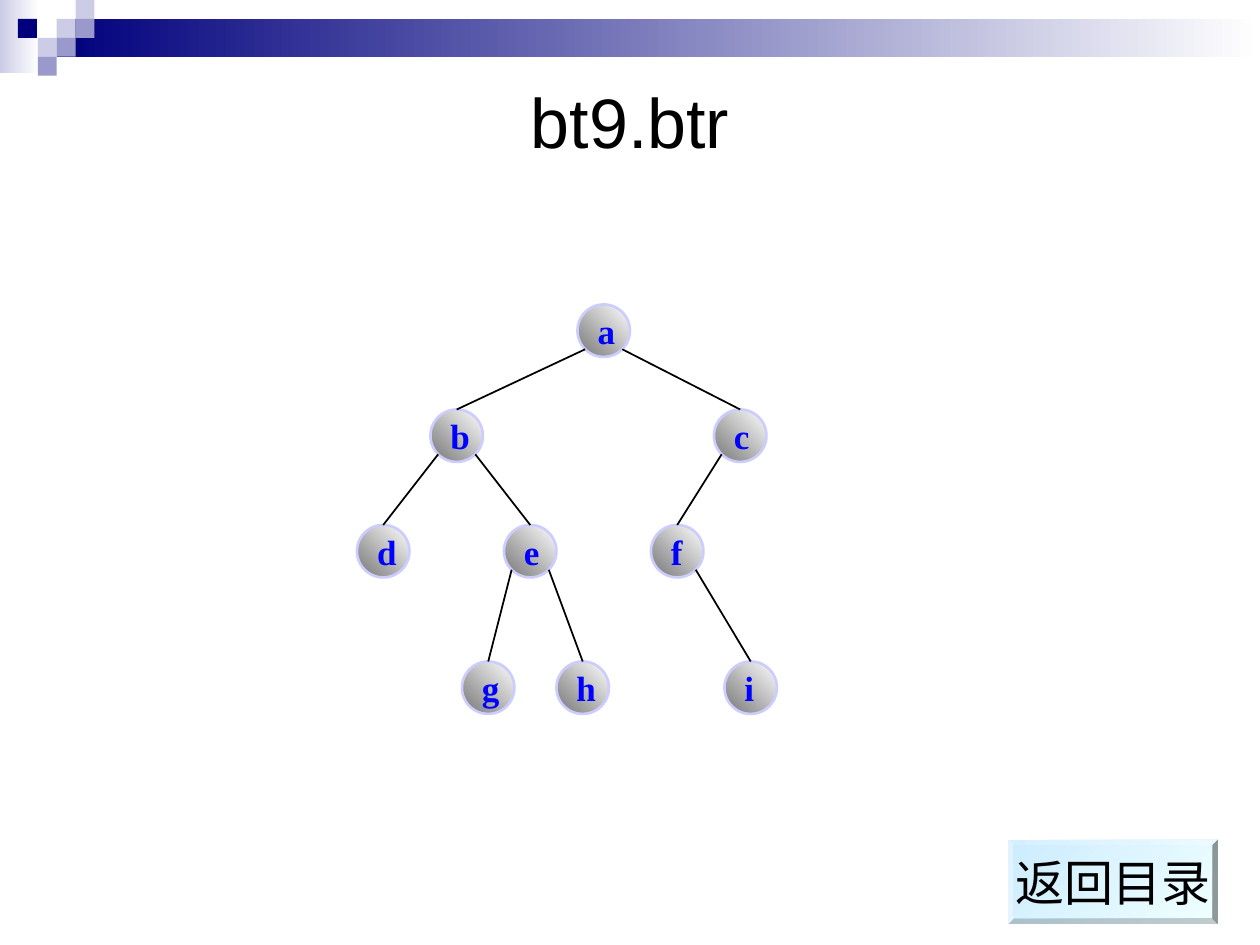
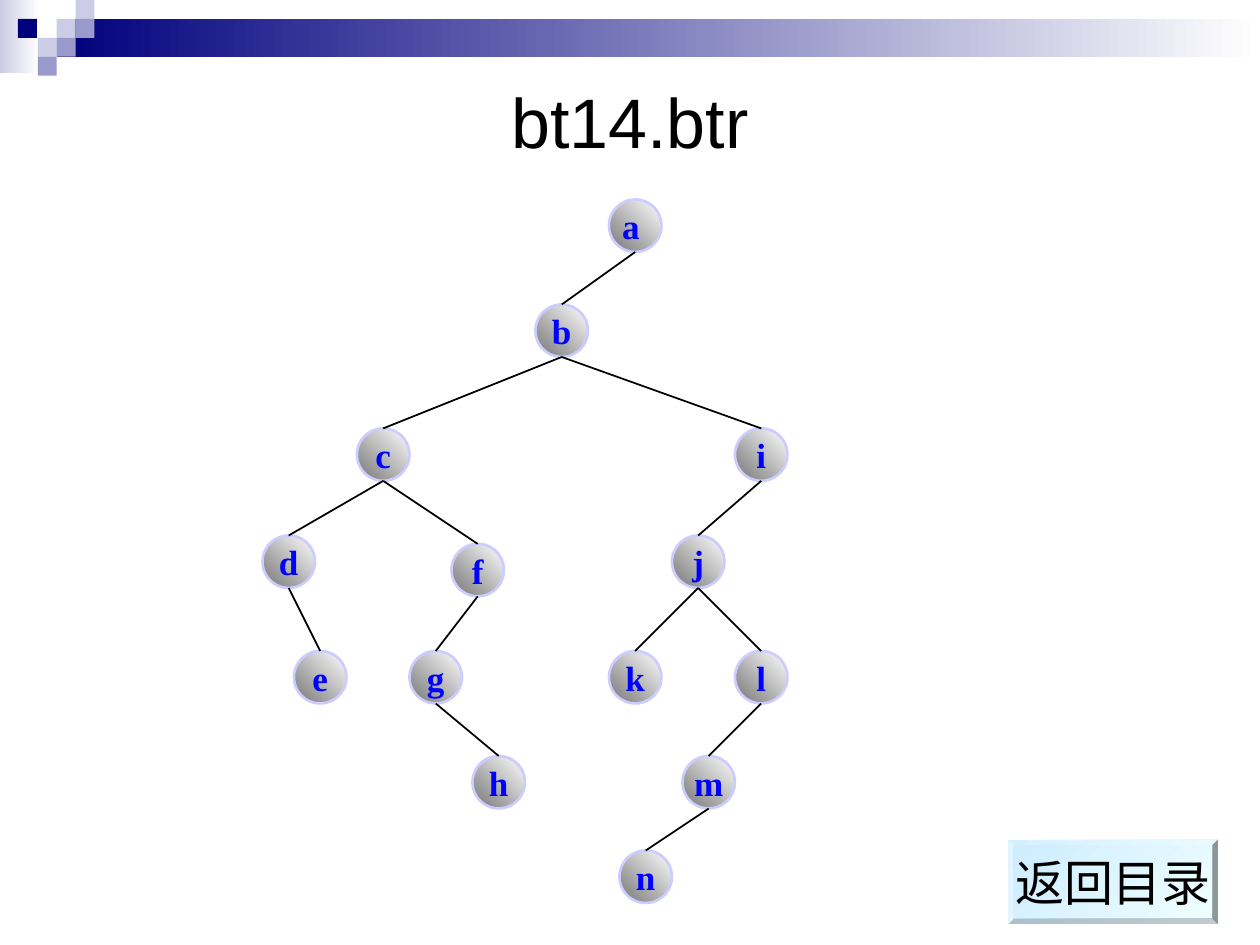
"""Build two slides that each show a labelled binary tree."""
from math import sqrt
from typing import NamedTuple

from lxml.etree import SubElement
from pptx import Presentation
from pptx.dml.color import RGBColor
from pptx.enum.shapes import MSO_CONNECTOR, MSO_SHAPE
from pptx.enum.text import MSO_ANCHOR, PP_ALIGN
from pptx.oxml.ns import qn
from pptx.util import Inches, Pt

WIDE, HIGH = Inches(10), Inches(7.5)
UNIT = WIDE // 120
TILE = Inches(0.15)
SIZE = 5
NAVY, LILAC, PALE = "00007D", "9999CC", "CCCCE6"
WHITE, BLACK, BLUE, RIM = "FFFFFF", "000000", "0000FF", "CCCCFF"


class Patch(NamedTuple):
    left: float
    top: float
    wide: float
    high: float
    start: str
    end: str = ""


class Node(NamedTuple):
    label: str
    col: float
    row: float
    parent: str = ""


class Tree(NamedTuple):
    title: str
    align: PP_ALIGN
    spread: float
    nodes: list[Node]


HEADER = [
    Patch(0, 0, 2.07, 3.87, PALE, WHITE),
    Patch(3, 1, 63.67, 2, NAVY, WHITE),
    Patch(3, 1, 1, 1, PALE),
    Patch(4, 0, 1, 1, PALE),
    Patch(4, 1, 1, 1, LILAC),
    Patch(2, 2, 1, 1, PALE),
    Patch(0.95, 1, 1, 1, NAVY),
    Patch(3, 2, 1, 1, LILAC),
    Patch(2, 3, 1, 1, LILAC),
]

TREES = [
    Tree("bt9.btr", PP_ALIGN.LEFT, sqrt(0.5), [
        Node("a ", 55, 29),
        Node("b", 41, 39, "a "),
        Node("c", 68, 39, "a "),
        Node("d", 34, 50, "b"),
        Node("e", 48, 50, "b"),
        Node("f", 62, 50, "c"),
        Node("g", 44, 63, "e"),
        Node("h", 53, 63, "e"),
        Node("i", 69, 63, "f"),
    ]),
    Tree("bt14.btr", PP_ALIGN.CENTER, 0, [
        Node("a ", 58, 19),
        Node("b", 51, 29, "a "),
        Node("c", 34, 40.8, "b"),
        Node("d", 25, 51, "c"),
        Node("e", 28, 62, "d"),
        Node("f", 43, 51.8, "c"),
        Node("g", 39, 62, "f"),
        Node("h", 45, 72, "g"),
        Node("i", 70, 40.8, "b"),
        Node("j", 64, 51, "i"),
        Node("k", 58, 62, "j"),
        Node("l", 70, 62, "j"),
        Node("m", 65, 72, "l"),
        Node("n", 59, 81, "m"),
    ]),
]


def tint(code: str) -> RGBColor:
    return RGBColor.from_string(code)


def scale(unit: int, *parts: float) -> list[int]:
    return [round(part * unit) for part in parts]


def write(shape, text: str, *, size: int, font: str = "Arial", color: str = BLACK,
          bold: bool = False, align: PP_ALIGN = PP_ALIGN.CENTER, wrap: bool = False) -> None:
    frame = shape.text_frame
    frame.word_wrap = wrap
    frame.vertical_anchor = MSO_ANCHOR.MIDDLE
    line = frame.paragraphs[0]
    line.alignment = align
    run = line.add_run()
    run.text = text
    run.font.size = Pt(size)
    run.font.name = font
    run.font.bold = bold
    run.font.color.rgb = tint(color)


def place(slide, kind: MSO_SHAPE, spot: list[int], start: str, end: str = "", angle: int = 0):
    shape = slide.shapes.add_shape(kind, *spot)
    shape.shadow.inherit = False
    shape.line.fill.background()
    if end:
        shape.fill.gradient()
        shape.fill.gradient_angle = angle
        for stop, code in zip(shape.fill.gradient_stops, (start, end)):
            stop.color.rgb = tint(code)
    else:
        shape.fill.solid()
        shape.fill.fore_color.rgb = tint(start)
    return shape


def draw_frame(slide, title: str) -> None:
    for patch in HEADER:
        place(slide, MSO_SHAPE.RECTANGLE, scale(TILE, *patch[:4]), patch.start, patch.end)
    head = slide.shapes.add_textbox(*scale(UNIT, 6, 6, 108, 11))
    write(head, title, size=40, wrap=True)


def draw_button(slide) -> None:
    button = place(slide, MSO_SHAPE.BEVEL, scale(UNIT, 96, 80, 20, 8), "CCECFF", "F0FFFF", 315)
    button.adjustments[0] = 0.06
    write(button, "返回目录", size=28)


def draw_node(slide, node: Node, align: PP_ALIGN):
    ball = place(slide, MSO_SHAPE.OVAL, scale(UNIT, node.col, node.row, SIZE, SIZE),
                 "767676", WHITE, 45)
    ball.line.color.rgb = tint(RIM)
    ball.line.width = Pt(1.5)
    write(ball, node.label, size=20, font="Times New Roman", color=BLUE, bold=True, align=align)
    return ball


def draw_branch(slide, above: Node, below: Node, ball, spread: float) -> None:
    half = SIZE / 2
    side = 1 if below.col > above.col else -1
    start = (above.col + half + side * half * spread,
             above.row + half + half * sqrt(1 - spread ** 2))
    branch = slide.shapes.add_connector(
        MSO_CONNECTOR.STRAIGHT, *scale(UNIT, *start, below.col + half, below.row))
    branch.end_connect(ball, 0)
    branch.line.color.rgb = tint(BLACK)
    branch.line.width = Pt(1)
    SubElement(branch._element.spPr, qn("a:effectLst"))


def draw_tree(slide, tree: Tree) -> None:
    known = {node.label: node for node in tree.nodes}
    for node in tree.nodes:
        ball = draw_node(slide, node, tree.align)
        if node.parent:
            draw_branch(slide, known[node.parent], node, ball, tree.spread)


def main() -> None:
    deck = Presentation()
    deck.slide_width, deck.slide_height = WIDE, HIGH
    for tree in TREES:
        slide = deck.slides.add_slide(deck.slide_layouts[6])
        draw_frame(slide, tree.title)
        draw_tree(slide, tree)
        draw_button(slide)
    deck.save("out.pptx")


if __name__ == "__main__":
    main()
